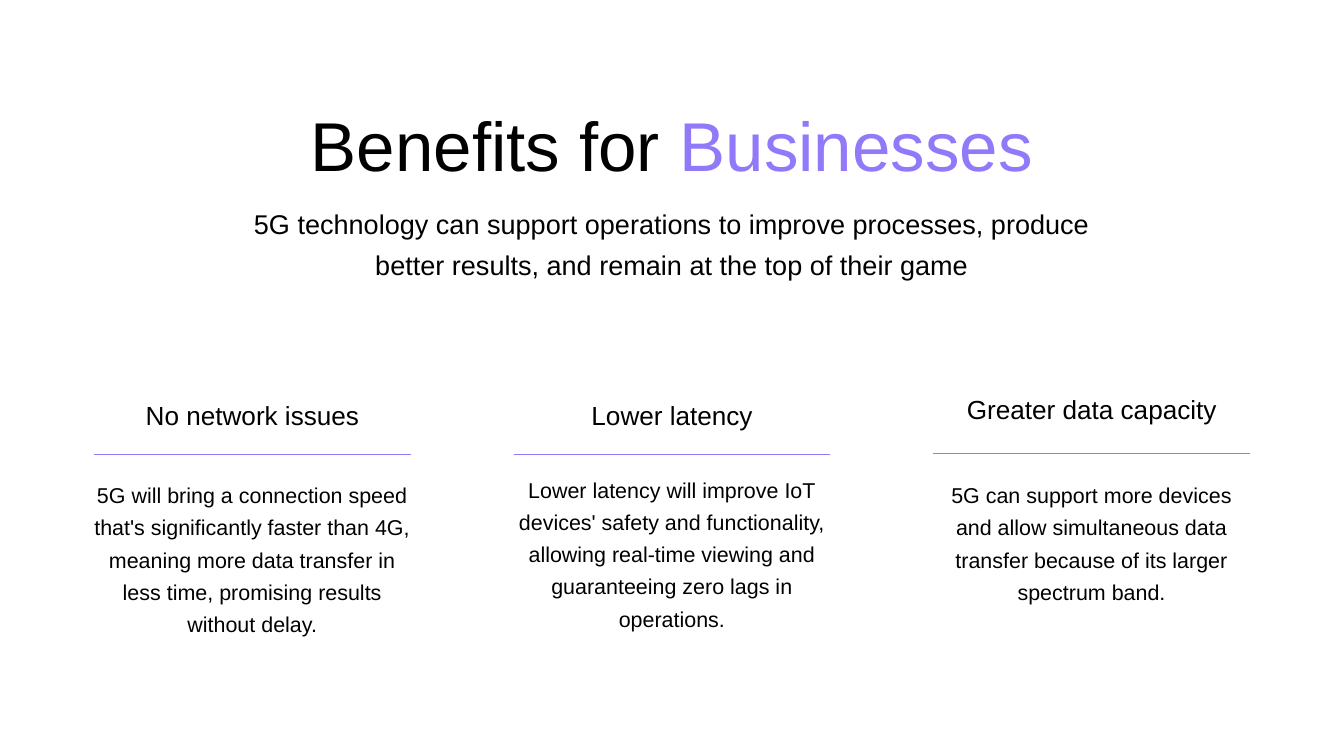
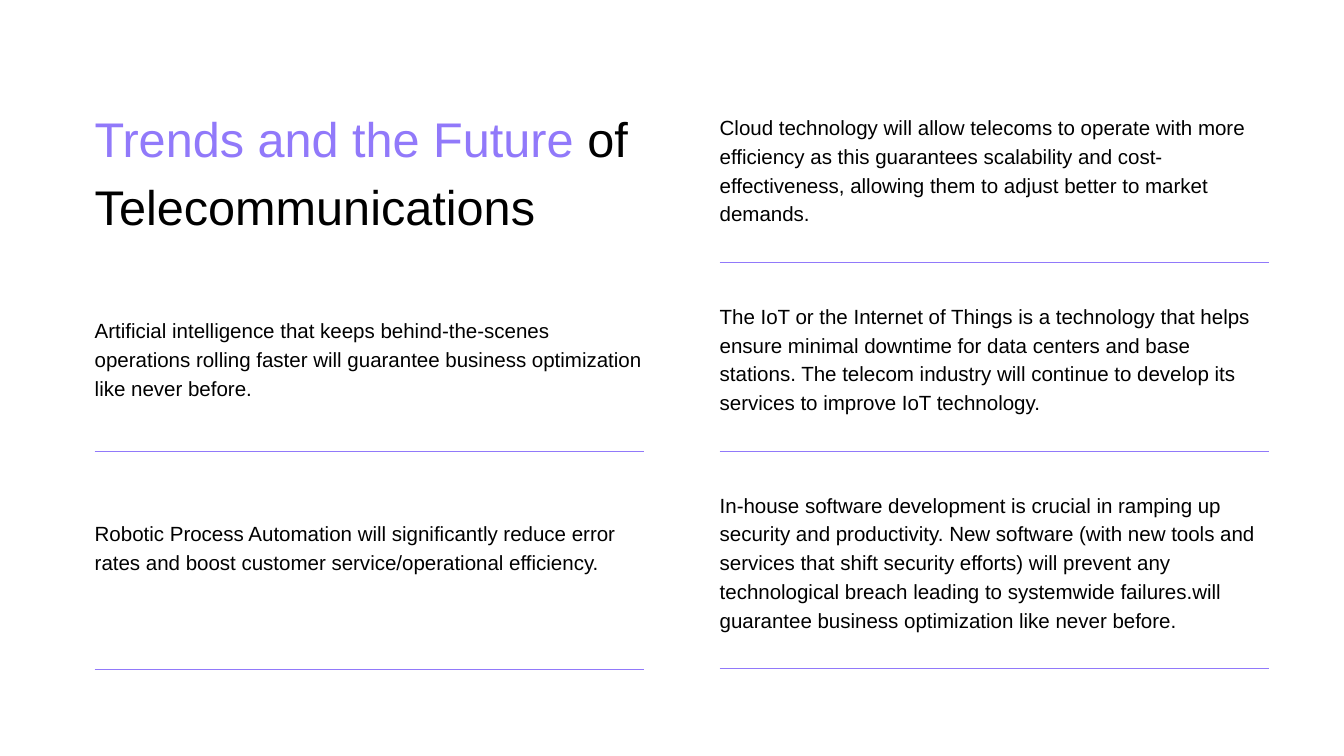
from dataclasses import dataclass

from lxml import etree
from pptx import Presentation
from pptx.dml.color import RGBColor
from pptx.enum.shapes import MSO_CONNECTOR
from pptx.enum.text import MSO_ANCHOR, MSO_AUTO_SIZE, PP_ALIGN
from pptx.oxml.ns import qn
from pptx.util import Inches, Pt

LEFT, CENTER = PP_ALIGN.LEFT, PP_ALIGN.CENTER
TOP = MSO_ANCHOR.TOP
GROW = MSO_AUTO_SIZE.SHAPE_TO_FIT_TEXT
STRAIGHT = MSO_CONNECTOR.STRAIGHT

COLORS = {"text": "000000", "accent": "9179FA", "background": "FFFFFF"}
FONT = "Arial"
WIDTH, HEIGHT = 20, 11.25
TITLE_ONLY = 5


@dataclass(frozen=True)
class Grid:
    """Equal columns: left edge, column width and step, in inches."""
    left: float
    width: float
    step: float

    def x(self, column: int) -> float:
        return self.left + column * self.step


@dataclass(frozen=True)
class Benefit:
    heading: str
    body: str
    heading_top: float
    rule_top: float
    body_top: float
    body_height: float


@dataclass(frozen=True)
class Trend:
    column: int
    text: str
    top: float
    height: float
    rule_top: float


HEADER = Grid(3.34, 13.32, 0)
BENEFIT_GRID = Grid(1.4, 4.71, 6.245)
TREND_GRID = Grid(1.41, 8.17, 9.3)

BENEFITS = [
    Benefit("No network issues",
            "5G will bring a connection speed that's significantly faster than 4G, "
            "meaning more data transfer in less time, promising results without delay.",
            5.86, 6.77, 7.08, 2.35),
    Benefit("Lower latency",
            "Lower latency will improve IoT devices' safety and functionality, allowing "
            "real-time viewing and guaranteeing zero lags in operations.",
            5.86, 6.76, 7, 2.35),
    Benefit("Greater data capacity",
            "5G can support more devices and allow simultaneous data transfer because "
            "of its larger spectrum band.",
            5.77, 6.75, 7.08, 1.87),
]

TRENDS = [
    Trend(0, "Artificial intelligence that keeps behind-the-scenes operations rolling "
             "faster will guarantee business optimization like never before.",
          4.67, 1.25, 6.71),
    Trend(0, "Robotic Process Automation will significantly reduce error rates and boost "
             "customer service/operational efficiency.",
          7.69, 1.25, 9.96),
    Trend(1, "Cloud technology will allow telecoms to operate with more efficiency as this "
             "guarantees scalability and cost-effectiveness, allowing them to adjust better "
             "to market demands.",
          1.65, 1.68, 3.9),
    Trend(1, "The IoT or the Internet of Things is a technology that helps ensure minimal "
             "downtime for data centers and base stations. The telecom industry will "
             "continue to develop its services to improve IoT technology.",
          4.46, 1.68, 6.71),
    Trend(1, "In-house software development is crucial in ramping up security and "
             "productivity. New software (with new tools and services that shift security "
             "efforts) will prevent any technological breach leading to systemwide "
             "failures.will guarantee business optimization like never before.",
          7.27, 2.11, 9.95),
]


def rgb(name: str) -> RGBColor:
    return RGBColor.from_string(COLORS[name])


def write(sp, *runs: tuple[str, str], size: float, leading: float, align=LEFT) -> None:
    """Fill a shape with one paragraph of (text, colour name) runs."""
    tf = sp.text_frame
    tf.margin_left = tf.margin_right = tf.margin_top = tf.margin_bottom = 0
    tf.word_wrap = True
    tf.auto_size = GROW
    tf.vertical_anchor = TOP
    p = tf.paragraphs[0]
    p.alignment = align
    p.line_spacing = Pt(leading)
    p.space_before = Pt(0)
    for text, color in runs:
        r = p.add_run()
        r.text = text
        r.font.name = FONT
        r.font.size = Pt(size)
        r.font.color.rgb = rgb(color)


def add_text(s, text: str, grid: Grid, column: int, top: float, height: float,
             **style) -> None:
    sp = s.shapes.add_textbox(Inches(grid.x(column)), Inches(top),
                              Inches(grid.width), Inches(height))
    write(sp, (text, "text"), **style)


def add_rule(s, grid: Grid, column: int, top: float, weight: float) -> None:
    x = grid.x(column)
    line = s.shapes.add_connector(STRAIGHT, Inches(x), Inches(top),
                                  Inches(x + grid.width), Inches(top))
    line.line.color.rgb = rgb("accent")
    line.line.width = Pt(weight)
    etree.SubElement(line._element.spPr, qn("a:effectLst"))


def add_slide(prs, grid: Grid, top: float, height: float, *runs: tuple[str, str], **style):
    """Add a slide whose title sits in the first column of the grid."""
    s = prs.slides.add_slide(prs.slide_layouts[TITLE_ONLY])
    s.background.fill.solid()
    s.background.fill.fore_color.rgb = rgb("background")
    sp = s.shapes.title
    sp.left, sp.top = Inches(grid.left), Inches(top)
    sp.width, sp.height = Inches(grid.width), Inches(height)
    write(sp, *runs, **style)
    return s


def build_benefits(prs) -> None:
    # Centred header
    s = add_slide(prs, HEADER, 1.53, 1.23, ("Benefits for ", "text"),
                  ("Businesses", "accent"), size=74, leading=88.8, align=CENTER)
    add_text(s, "5G technology can support operations to improve processes, produce better "
                "results, and remain at the top of their game",
             HEADER, 0, 2.97, 1.16, size=29, leading=43.5, align=CENTER)

    # Three columns: heading, rule, body
    for column, b in enumerate(BENEFITS):
        add_text(s, b.heading, BENEFIT_GRID, column, b.heading_top, 0.51,
                 size=28, leading=39.2, align=CENTER)
        add_text(s, b.body, BENEFIT_GRID, column, b.body_top, b.body_height,
                 size=23, leading=34.5, align=CENTER)
        add_rule(s, BENEFIT_GRID, column, b.rule_top, 1)


def build_trends(prs) -> None:
    # Title above the left column
    s = add_slide(prs, TREND_GRID, 1.47, 1.96, ("Trends and the Future", "accent"),
                  (" of Telecommunications", "text"), size=52.1, leading=72.9)

    # Two columns of underlined statements
    for t in TRENDS:
        add_text(s, t.text, TREND_GRID, t.column, t.top, t.height, size=22, leading=30.8)
        add_rule(s, TREND_GRID, t.column, t.rule_top, 0.75)


def main() -> None:
    prs = Presentation()
    prs.slide_width, prs.slide_height = Inches(WIDTH), Inches(HEIGHT)
    build_benefits(prs)
    build_trends(prs)
    prs.save("out.pptx")


if __name__ == "__main__":
    main()
